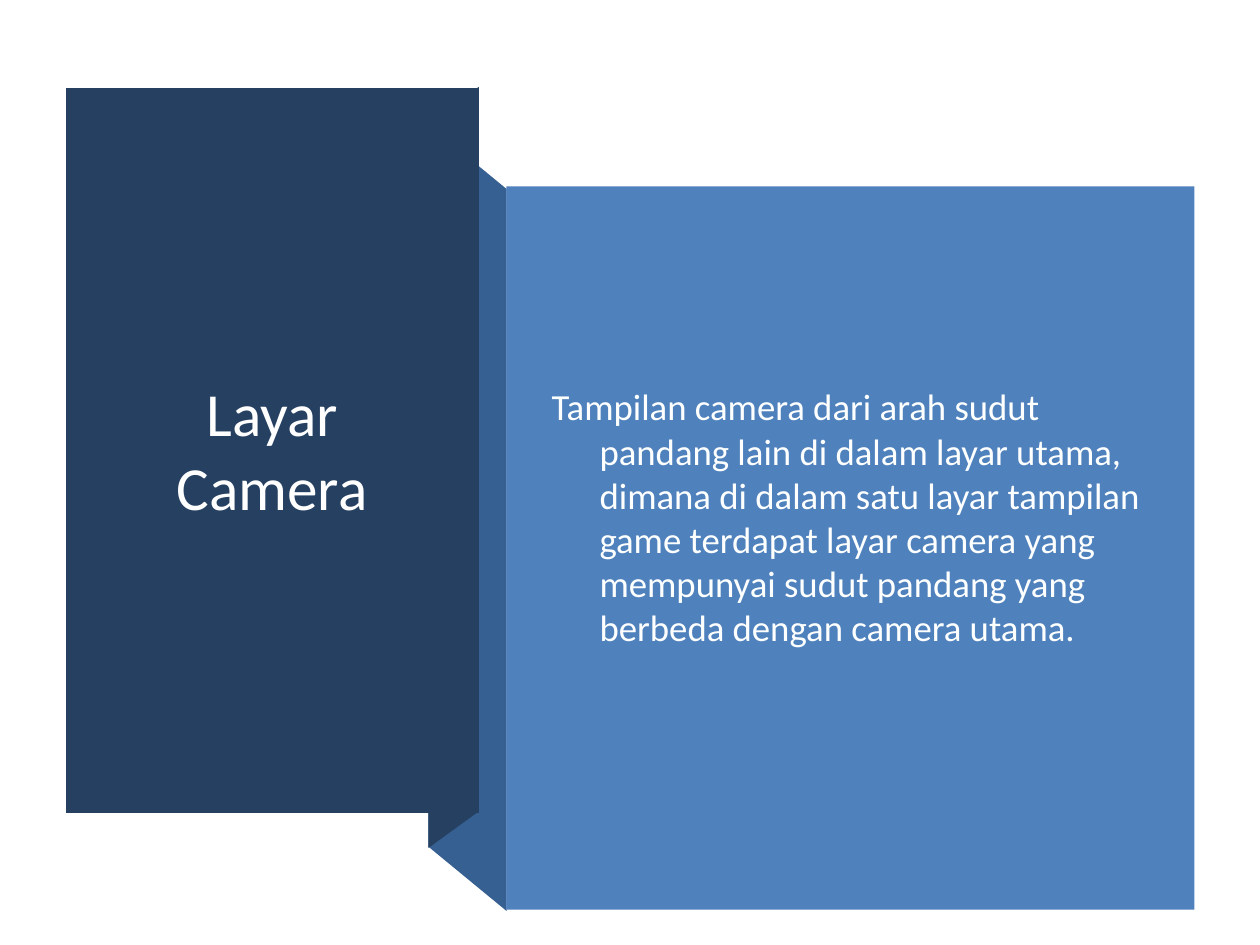
from pptx import Presentation
from pptx.dml.color import RGBColor
from pptx.enum.shapes import MSO_SHAPE
from pptx.enum.text import MSO_ANCHOR, PP_ALIGN
from pptx.util import Inches, Pt

COLORS = {
    "navy": "254061",
    "fold": "376092",
    "panel": "4F81BD",
    "title": "FFFFFF",
    "body": "FEFFFF",
}

deck = Presentation()
deck.slide_width, deck.slide_height = Inches(10), Inches(7.5)
page = deck.slides.add_slide(deck.slide_layouts[6])


def paint(shape, color):
    shape.shadow.inherit = False
    shape.fill.solid()
    shape.fill.fore_color.rgb = RGBColor.from_string(COLORS[color])
    shape.line.fill.background()


def add_text(text, left, top, width, height, size, color):
    """Add a vertically centred text box and return it."""
    box = page.shapes.add_textbox(
        Inches(left), Inches(top), Inches(width), Inches(height))
    frame = box.text_frame
    frame.word_wrap = True
    frame.vertical_anchor = MSO_ANCHOR.MIDDLE
    frame.text = text
    font = frame.paragraphs[0].runs[0].font
    font.name = "Calibri"
    font.size = Pt(size)
    font.color.rgb = RGBColor.from_string(COLORS[color])
    return box


# Ribbon folds and the title panel, from back to front
ribbon = [
    ("fold", [(4.02, 7.23), (3.4, 6.72), (3.4, 0.99), (4.02, 1.5)]),
    ("navy", [(3.8, 6.44), (3.4, 6.73), (3.4, 0.98), (3.8, 0.69)]),
    ("navy", [(0.52, 0.7), (3.8, 0.7), (3.8, 6.45), (0.52, 6.45)]),
]
for color, corners in ribbon:
    points = [(Inches(x), Inches(y)) for x, y in corners]
    outline = page.shapes.build_freeform(*points[0])
    outline.add_line_segments(points[1:], close=True)
    paint(outline.convert_to_shape(), color)

title = add_text("Layar Camera", 0.77, 1.07, 2.78, 4.99, 35, "title")
title.text_frame.paragraphs[0].alignment = PP_ALIGN.CENTER

body_panel = page.shapes.add_shape(
    MSO_SHAPE.RECTANGLE, Inches(4.02), Inches(1.48), Inches(5.46), Inches(5.74))
paint(body_panel, "panel")

body = add_text(
    "Tampilan camera dari arah sudut pandang lain di dalam layar utama, "
    "dimana di dalam satu layar tampilan game terdapat layar camera yang "
    "mempunyai sudut pandang yang berbeda dengan camera utama.",
    4.28, 1.88, 4.88, 4.74, 21, "body")
body.text_frame.margin_bottom = Inches(0.35)

# Hanging indent
para = body.text_frame.paragraphs[0]
properties = para._p.get_or_add_pPr()
properties.set("marL", str(Inches(0.38)))
properties.set("indent", str(-Inches(0.38)))

deck.save("out.pptx")
